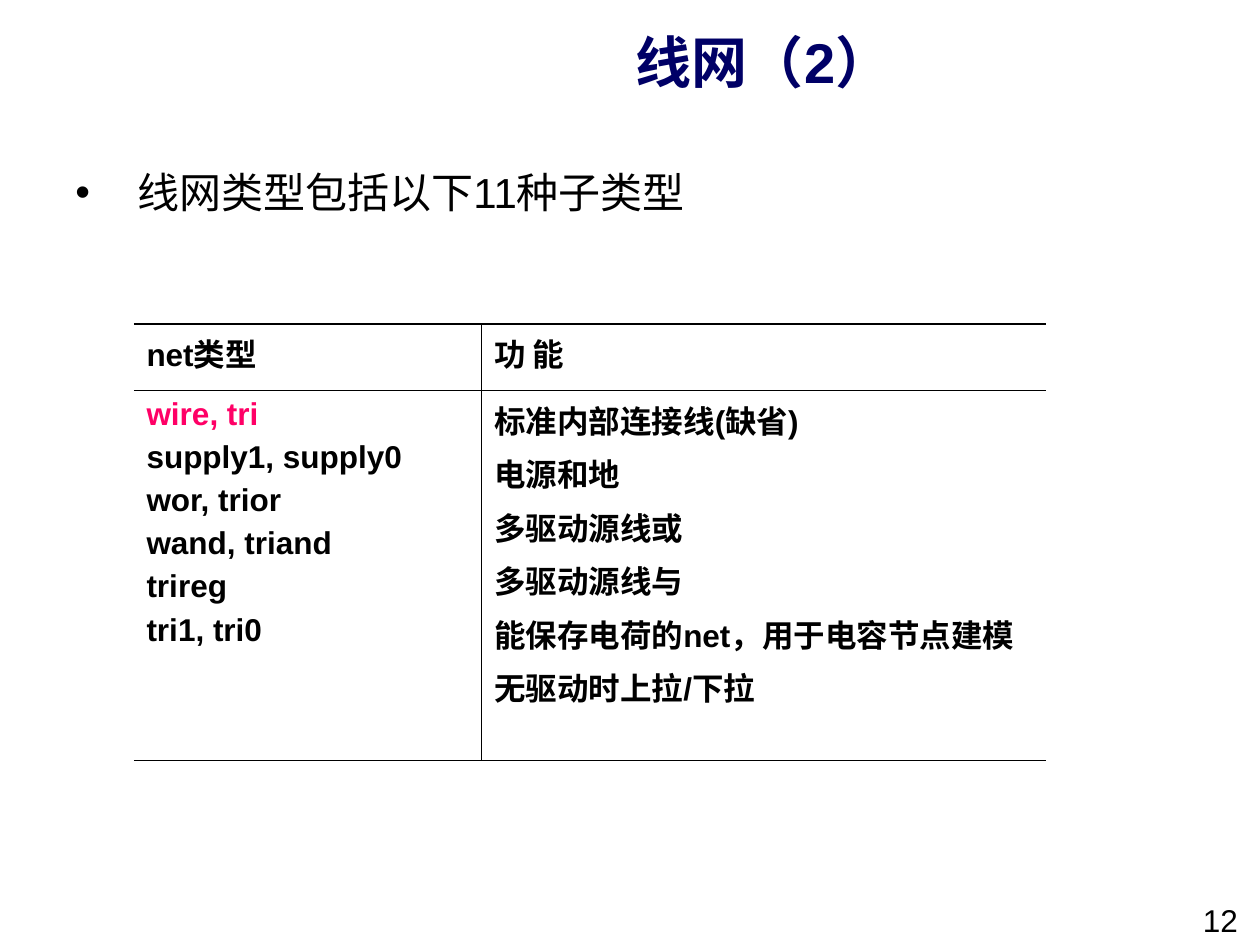
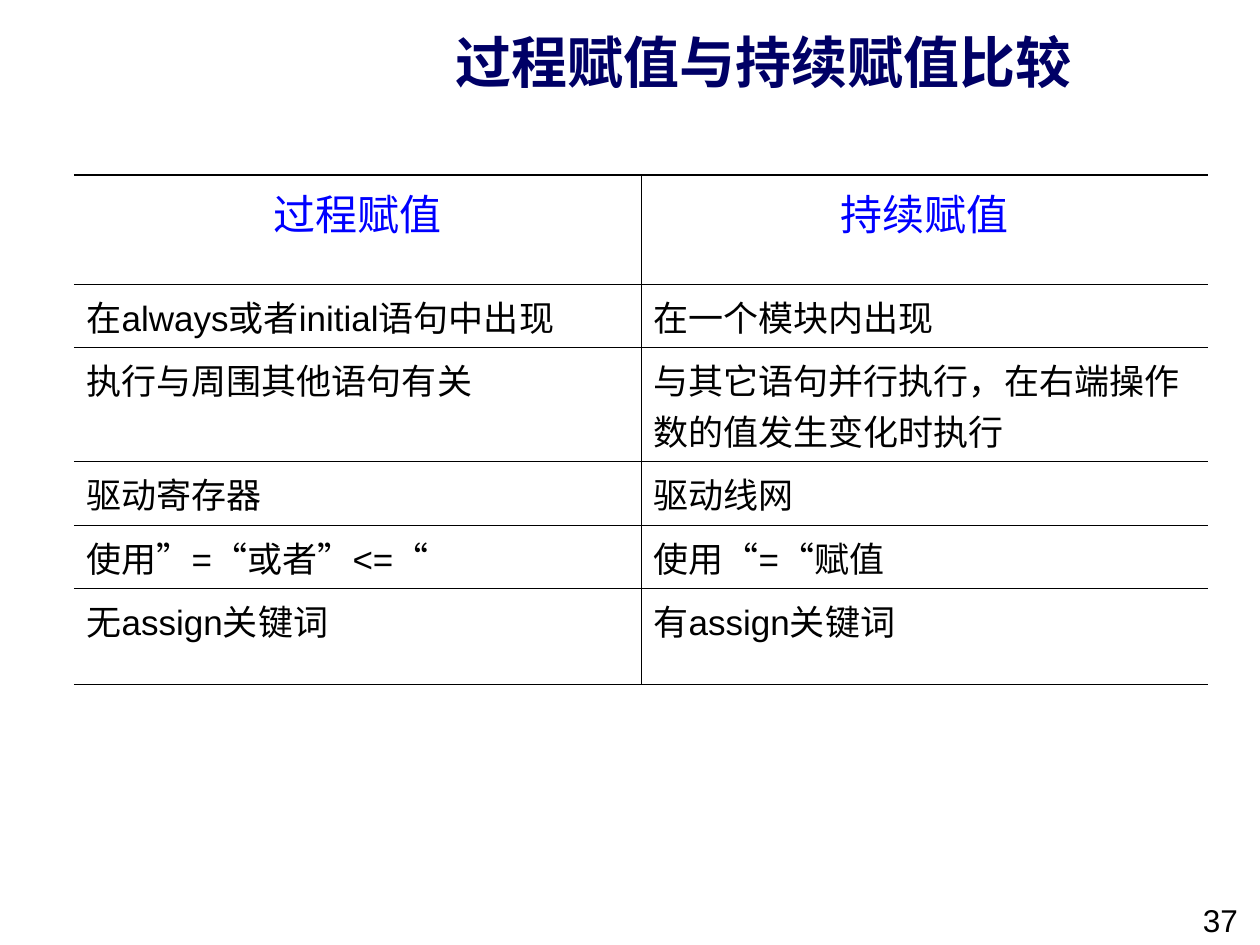
from itertools import groupby

from lxml.etree import SubElement
from pptx import Presentation
from pptx.dml.color import RGBColor
from pptx.enum.text import MSO_ANCHOR as Anchor, PP_ALIGN as Align
from pptx.oxml.ns import qn
from pptx.util import Cm, Pt

LATIN = "Arial"
CHINESE = "Noto Sans CJK SC"
BLACK, NAVY, BLUE, PINK = "000000", "000066", "0000FF", "FF0066"
THIN, THICK = 0.45, 1.08
QUOTES = "“”"


def color(value):
    return RGBColor.from_string(value)


class SlideWriter:
    """Holds the shared style and the slide being written."""

    def __init__(self):
        self.deck = Presentation()
        self.deck.slide_width, self.deck.slide_height = Cm(25.4), Cm(19.05)
        self.page = None

    def start_page(self, title, number):
        self.page = self.deck.slides.add_slide(self.deck.slide_layouts[6])
        # Page number
        self.text_box(24, 18.03, 1.4, 1.02, number, 18)
        # Title
        self.text_box(6.3, 0.18, 18.19, 2.11, title, 32, NAVY, bold=True,
                      align=Align.CENTER, anchor=Anchor.MIDDLE)

    def style(self, para, text, size, ink=BLACK, bold=False, align=Align.LEFT):
        para.alignment = align
        font = para.font
        font.size, font.bold, font.name = Pt(size), bold, LATIN
        font.color.rgb = color(ink)
        SubElement(font._element, qn("a:ea"), typeface=CHINESE)
        # Curly quotes take the full-width Chinese font
        for is_quote, letters in groupby(text, lambda letter: letter in QUOTES):
            span = para.add_run()
            span.text = "".join(letters)
            if is_quote:
                span.font.name = CHINESE

    def text_box(self, left, top, width, height, text, size, ink=BLACK,
                 bold=False, align=Align.LEFT, anchor=Anchor.TOP, bullet=False):
        box = self.page.shapes.add_textbox(Cm(left), Cm(top), Cm(width), Cm(height))
        frame = box.text_frame
        frame.word_wrap = True
        frame.vertical_anchor = anchor
        para = frame.paragraphs[0]
        if bullet:
            properties = para._p.get_or_add_pPr()
            properties.set("marL", str(Cm(1.25)))
            properties.set("indent", str(-Cm(1.25)))
            SubElement(properties, qn("a:buFont"), typeface=LATIN)
            SubElement(properties, qn("a:buChar"), char="•")
        self.style(para, text, size, ink, bold, align)

    def border(self, cell, side, width):
        properties = cell._tc.get_or_add_tcPr()
        line = SubElement(properties, qn(f"a:ln{side}"), w=str(Pt(width)))
        if width:
            fill = SubElement(line, qn("a:solidFill"))
            SubElement(fill, qn("a:srgbClr"), val=BLACK)
        else:
            SubElement(line, qn("a:noFill"))

    def table(self, left, top, widths, heights, rows, text_style, header_style=None,
              space=4.5, inks=None):
        """Each cell text holds one paragraph a line; inks recolours some lines."""
        inks = inks or {}
        grid = self.page.shapes.add_table(
            len(heights), len(widths), Cm(left), Cm(top),
            Cm(sum(widths)), Cm(sum(heights))).table
        grid.first_row = grid.horz_banding = False
        for column, width in zip(grid.columns, widths):
            column.width = Cm(width)
        last_column = len(widths) - 1
        for r, (height, texts) in enumerate(zip(heights, rows)):
            grid.rows[r].height = Cm(height)
            look = header_style if header_style and r == 0 else text_style
            for c, text in enumerate(texts):
                cell = grid.cell(r, c)
                # Thin rules, a thick one above the header, open sides
                self.border(cell, "L", THIN if c else 0)
                self.border(cell, "R", THIN if c < last_column else 0)
                self.border(cell, "T", THIN if r else THICK)
                self.border(cell, "B", THIN)
                cell.fill.background()
                frame = cell.text_frame
                for i, line in enumerate(text.split("\n")):
                    para = frame.add_paragraph() if i else frame.paragraphs[0]
                    if i:
                        para.space_before = Pt(space)
                    self.style(para, line, **{**look, "ink": inks.get(line, look["ink"])})


def main():
    writer = SlideWriter()

    # Net types
    writer.start_page("线网（2）", "12")
    writer.text_box(1.27, 3.23, 22.63, 14.1, "线网类型包括以下11种子类型", 24, bullet=True)
    net_types = ["wire, tri", "supply1, supply0", "wor, trior",
                 "wand, triand", "trireg", "tri1, tri0"]
    functions = ["标准内部连接线(缺省)", "电源和地", "多驱动源线或", "多驱动源线与",
                 "能保存电荷的net，用于电容节点建模", "无驱动时上拉/下拉"]
    writer.table(
        2.7, 6.53, [7.01, 11.38], [1.34, 7.45],
        [("net类型", "功 能"), ("\n".join(net_types), "\n".join(functions))],
        {"size": 18, "ink": BLACK, "bold": True}, inks={"wire, tri": PINK})

    # Procedural and continuous assignment
    writer.start_page("过程赋值与持续赋值比较", "37")
    comparison = [
        ("过程赋值", "持续赋值"),
        ("在always或者initial语句中出现", "在一个模块内出现"),
        ("执行与周围其他语句有关", "与其它语句并行执行，在右端操作数的值发生变化时执行"),
        ("驱动寄存器", "驱动线网"),
        ("使用”=“或者”<=“", "使用“=“赋值"),
        ("无assign关键词", "有assign关键词"),
    ]
    one_line, two_lines = 1.28, 2.3
    writer.table(
        1.49, 3.53, [11.43] * 2,
        [2.2, one_line, two_lines, one_line, one_line, 1.93], comparison,
        {"size": 20, "ink": BLACK},
        header_style={"size": 24, "ink": BLUE, "align": Align.CENTER})

    writer.deck.save("out.pptx")


if __name__ == "__main__":
    main()
